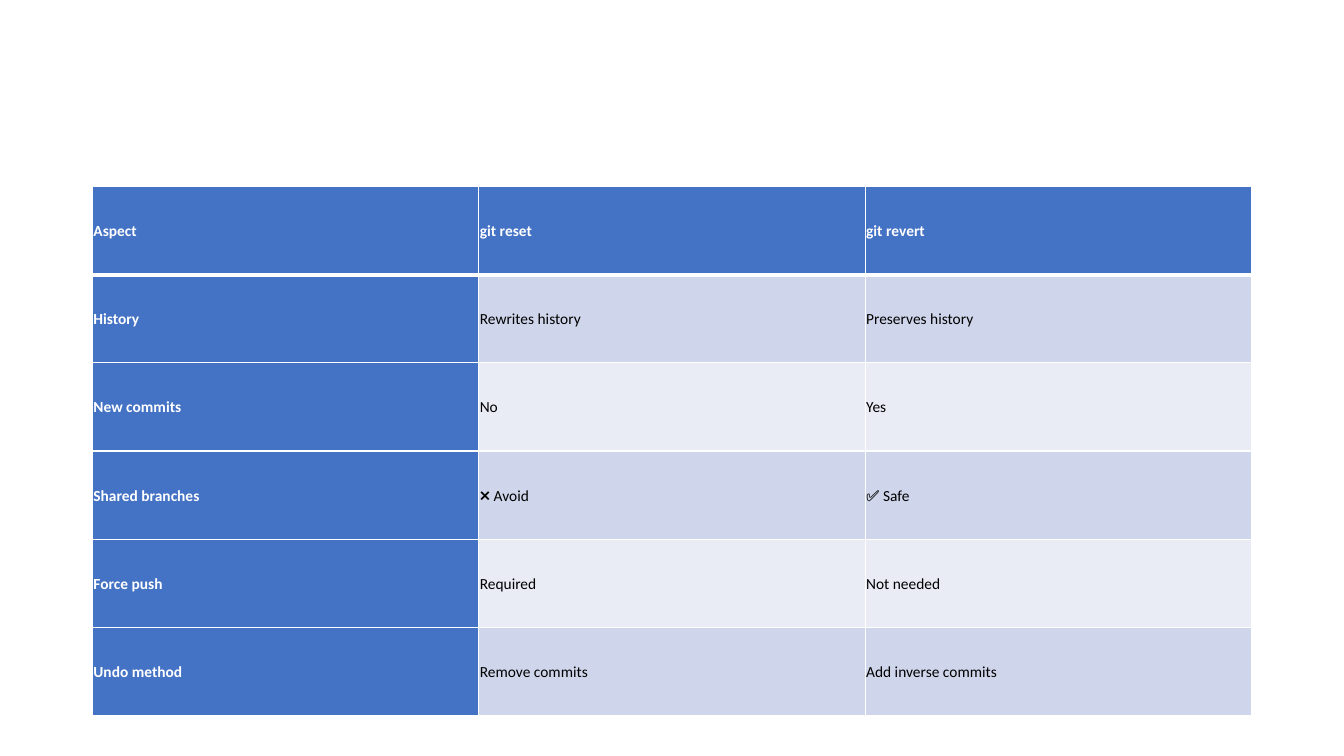
from dataclasses import dataclass

import pptx
import pptx.dml.color
import pptx.enum.text
import pptx.oxml
import pptx.oxml.ns
import pptx.slide
import pptx.table
import pptx.util

Pt = pptx.util.Pt

WHITE = "FFFFFF"
BLACK = "000000"
BLUE = "4472C4"
BANDS = ("CFD5EA", "E9EBF5")
THIN_RULE = 1
HEADER_RULE = 3


@dataclass(frozen=True)
class Comparison:
    aspect: str
    reset: str
    revert: str


COMPARISONS = (
    Comparison("Aspect", "git reset", "git revert"),
    Comparison("History", "Rewrites history", "Preserves history"),
    Comparison("New commits", "No", "Yes"),
    Comparison("Shared branches", "❌ Avoid", "✅ Safe"),
    Comparison("Force push", "Required", "Not needed"),
    Comparison("Undo method", "Remove commits", "Add inverse commits"),
)


def color(value: str) -> pptx.dml.color.RGBColor:
    return pptx.dml.color.RGBColor.from_string(value)


def add_border(cell: pptx.table._Cell, side: str, width: float) -> None:
    border = pptx.oxml.parse_xml(
        f'<a:ln{side} {pptx.oxml.ns.nsdecls("a")} w="{Pt(width)}">'
        f'<a:solidFill><a:srgbClr val="{WHITE}"/></a:solidFill></a:ln{side}>'
    )
    cell._tc.get_or_add_tcPr().append(border)


def format_cell(cell: pptx.table._Cell, row: int, column: int) -> None:
    heading = row == 0 or column == 0
    widths = {
        "L": THIN_RULE,
        "R": THIN_RULE,
        "T": HEADER_RULE if row == 1 else THIN_RULE,
        "B": HEADER_RULE if row == 0 else THIN_RULE,
    }
    for side, width in widths.items():
        add_border(cell, side, width)
    cell.fill.solid()
    cell.fill.fore_color.rgb = color(BLUE if heading else BANDS[(row - 1) % 2])
    cell.vertical_anchor = pptx.enum.text.MSO_ANCHOR.MIDDLE
    cell.margin_left = cell.margin_right = Pt(0.75)
    cell.margin_top = cell.margin_bottom = Pt(0.75)

    statement = cell.text_frame.paragraphs[0]
    statement.line_spacing = 1.07
    statement.space_after = Pt(8)
    for run in statement.runs:
        run.font.name = "Calibri"
        run.font.size = Pt(11)
        run.font.bold = heading
        run.font.color.rgb = color(WHITE if heading else BLACK)


def add_comparison_table(slide: pptx.slide.Slide) -> None:
    comparison = slide.shapes.add_table(
        len(COMPARISONS), 3, Pt(66), Pt(133.2), Pt(828), Pt(378)
    ).table
    comparison.first_col = True
    for row, entry in enumerate(COMPARISONS):
        for column, statement in enumerate((entry.aspect, entry.reset, entry.revert)):
            cell = comparison.cell(row, column)
            cell.text_frame.text = statement
            format_cell(cell, row, column)


def main() -> None:
    presentation = pptx.Presentation()
    presentation.slide_width = Pt(960)
    presentation.slide_height = Pt(540)
    slide = presentation.slides.add_slide(presentation.slide_layouts[6])
    add_comparison_table(slide)
    presentation.save("out.pptx")


if __name__ == "__main__":
    main()
